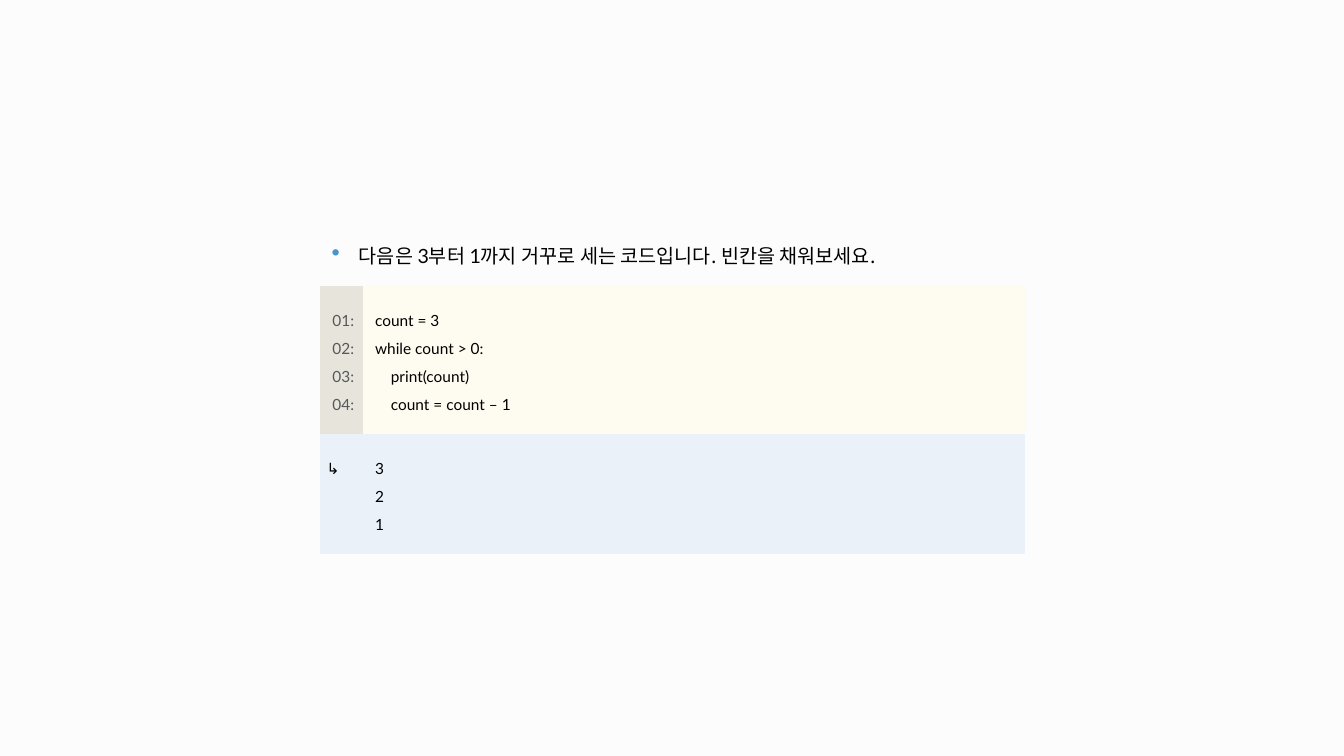
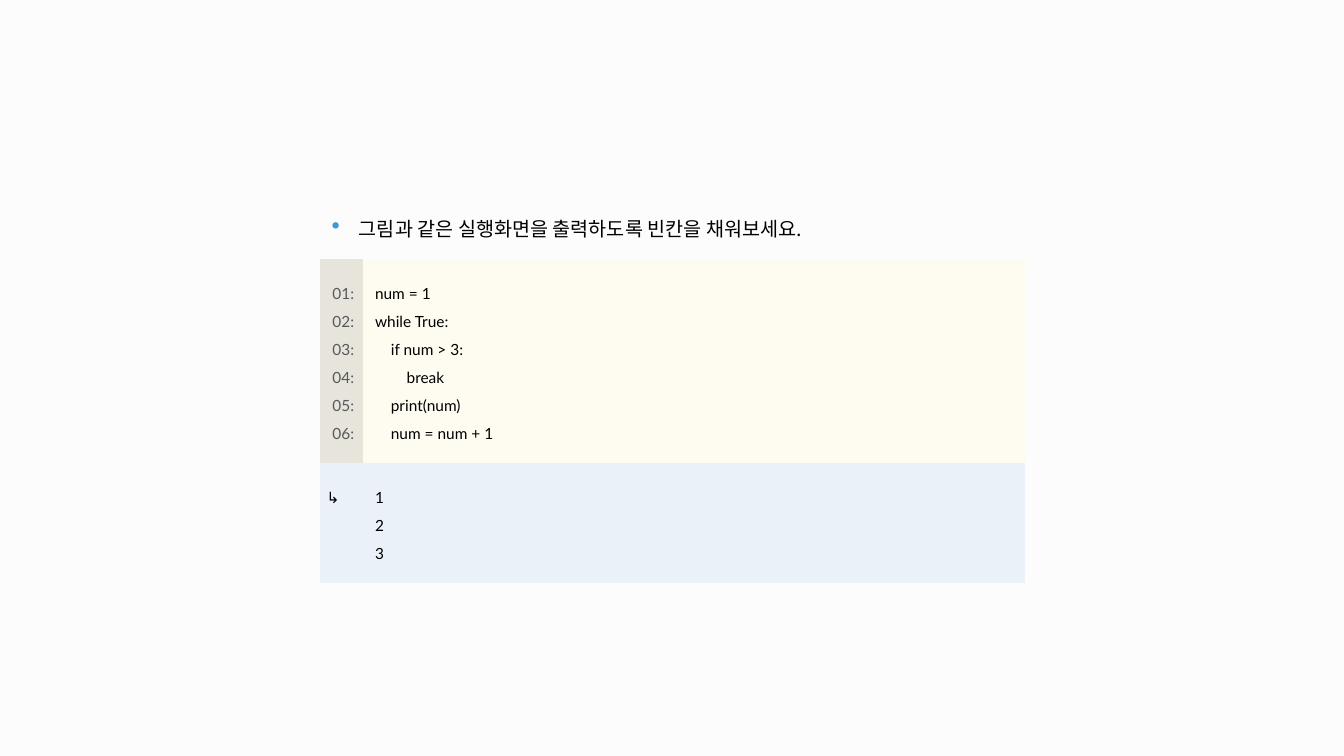
"""Build two coding-exercise slides, each a question with its code and output."""
from dataclasses import dataclass
from itertools import groupby

from lxml import etree
from pptx import Presentation
from pptx import util as u
from pptx.dml.color import RGBColor
from pptx.enum import text as t
from pptx.oxml import ns

PX = 9144
NO_STYLE = "{2D5ABB26-0587-4C30-8999-92F81FD0307C}"


@dataclass(frozen=True)
class Theme:
    """Colours, fonts and type sizes."""
    background: str = "FCFCFC"
    ink: str = "000000"
    number: str = "57585A"
    bullet: str = "4495D1"
    gutter_fill: str = "E6E4DB"
    code_fill: str = "FEFBF1"
    output_fill: str = "EAF1F9"
    latin: str = "Lato"
    korean: str = "Noto Sans CJK KR"
    question_size: int = 14
    code_size: int = 11


THEME = Theme()
LEFT, CENTRE_Y = 317, 384
COLUMNS = (43, 657)
QUESTION_HEIGHT = 62
CODE_INSETS = (12, 16, 0, 20)
NUMBER_INSETS = (4, 4, 0, 8)
ARROW_INSETS = (7, 16, 0, 20)
QUESTION_INSETS = (12, 4, 0, 16)
BULLET_INDENT = 27

EXERCISES = (
    ("다음은 3부터 1까지 거꾸로 세는 코드입니다. 빈칸을 채워보세요.",
     "count = 3\n"
     "while count > 0:\n"
     "    print(count)\n"
     "    count = count – 1",
     "3\n2\n1"),
    ("그림과 같은 실행화면을 출력하도록 빈칸을 채워보세요.",
     "num = 1\n"
     "while True:\n"
     "    if num > 3:\n"
     "        break\n"
     "    print(num)\n"
     "    num = num + 1",
     "1\n2\n3"),
)


def px(value):
    """Turn px into EMU."""
    return u.Emu(value * PX)


def line_count(text):
    """Count the lines of a text."""
    return len(text.split("\n"))


def block_height(text):
    """Give the height of a row that holds this text."""
    return 36 + 55 * line_count(text) // 2


def format_run(r, font, size, color):
    """Set the font, size and colour of a run for every script."""
    r.font.name = font
    r.font.size = u.Pt(size)
    r.font.color.rgb = RGBColor.from_string(color)
    ea = etree.SubElement(r.font._element, ns.qn("a:ea"))
    ea.set("typeface", font)


def format_cell(cell, insets, fill=None, anchor=t.MSO_ANCHOR.MIDDLE):
    """Set the insets, anchor and fill of a cell."""
    (cell.margin_left, cell.margin_top,
     cell.margin_right, cell.margin_bottom) = map(px, insets)
    cell.vertical_anchor = anchor
    if fill:
        cell.fill.solid()
        cell.fill.fore_color.rgb = RGBColor.from_string(fill)
    else:
        cell.fill.background()


def write_lines(cell, text, color=THEME.ink, align=t.PP_ALIGN.LEFT):
    """Write one paragraph for each line of text."""
    cell.text_frame.text = text
    for p in cell.text_frame.paragraphs:
        p.line_spacing = 1.5
        p.alignment = align
        for r in p.runs:
            format_run(r, THEME.latin, THEME.code_size, color)


def add_bullet(p):
    """Give a paragraph a coloured bullet and a hanging indent."""
    props = p._p.get_or_add_pPr()
    props.set("marL", str(px(BULLET_INDENT)))
    props.set("indent", str(-px(BULLET_INDENT)))
    color = etree.SubElement(props, ns.qn("a:buClr"))
    etree.SubElement(color, ns.qn("a:srgbClr")).set("val", THEME.bullet)
    etree.SubElement(props, ns.qn("a:buSzPct")).set("val", "125000")
    etree.SubElement(props, ns.qn("a:buChar")).set("char", "•")


def write_question(cell, question):
    """Write the bulleted question, with its digits in the Latin font."""
    p = cell.text_frame.paragraphs[0]
    add_bullet(p)
    p.line_spacing = 1.5
    for is_digit, chars in groupby(question, str.isdigit):
        r = p.add_run()
        r.text = "".join(chars)
        font = THEME.latin if is_digit else THEME.korean
        format_run(r, font, THEME.question_size, THEME.ink)


def add_plain_table(s, heights):
    """Add an unstyled table centred on the common height."""
    top = CENTRE_Y - sum(heights) // 2
    frame = s.shapes.add_table(len(heights), len(COLUMNS), px(LEFT), px(top),
                               px(sum(COLUMNS)), px(sum(heights)))
    table = frame.table
    table.first_row = table.horz_banding = False
    table._tbl.tblPr.find(ns.qn("a:tableStyleId")).text = NO_STYLE
    for column, width in zip(table.columns, COLUMNS):
        column.width = px(width)
    for row, height in zip(table.rows, heights):
        row.height = px(height)
    return table


def add_exercise(prs, question, code, output):
    """Add a slide with a question, numbered code and its output."""
    s = prs.slides.add_slide(prs.slide_layouts[6])
    table = add_plain_table(
        s, (QUESTION_HEIGHT, block_height(code), block_height(output)))

    heading = table.cell(0, 0)
    heading.merge(table.cell(0, 1))
    format_cell(heading, QUESTION_INSETS)
    write_question(heading, question)

    gutter, listing = table.cell(1, 0), table.cell(1, 1)
    format_cell(gutter, NUMBER_INSETS, THEME.gutter_fill)
    numbers = "\n".join(f"{n:02}:" for n in range(1, line_count(code) + 1))
    write_lines(gutter, numbers, THEME.number, t.PP_ALIGN.CENTER)
    format_cell(listing, CODE_INSETS, THEME.code_fill)
    write_lines(listing, code)

    arrow, result = table.cell(2, 0), table.cell(2, 1)
    format_cell(arrow, ARROW_INSETS, THEME.output_fill, t.MSO_ANCHOR.TOP)
    write_lines(arrow, "↳")
    format_cell(result, CODE_INSETS, THEME.output_fill)
    write_lines(result, output)


def main():
    """Build and save the presentation."""
    prs = Presentation()
    prs.slide_width, prs.slide_height = px(1333), px(750)
    fill = prs.slide_master.background.fill
    fill.solid()
    fill.fore_color.rgb = RGBColor.from_string(THEME.background)
    for exercise in EXERCISES:
        add_exercise(prs, *exercise)
    prs.save("out.pptx")


if __name__ == "__main__":
    main()
